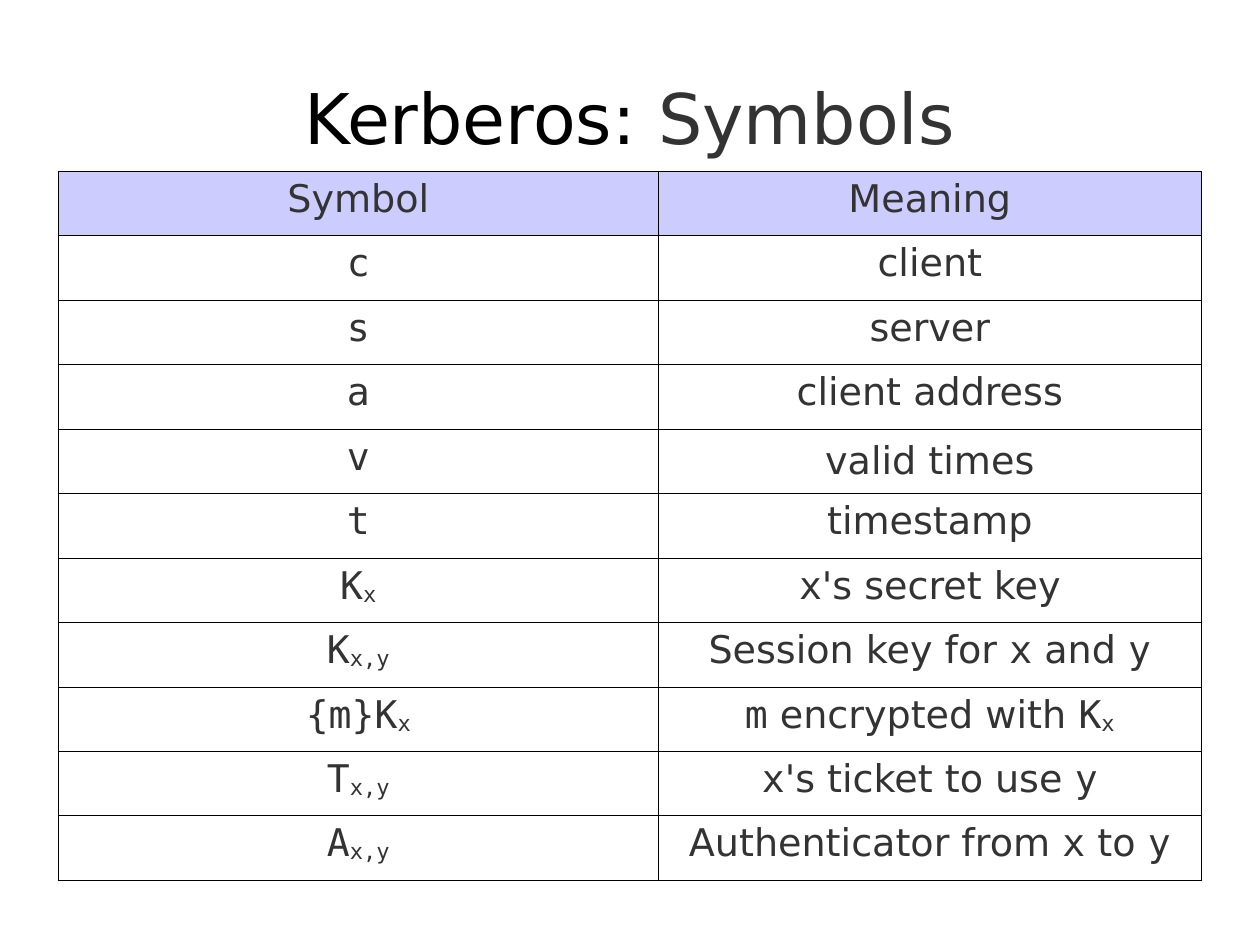
import dataclasses

import lxml.etree
import pptx
import pptx.dml.color
import pptx.enum.text
import pptx.oxml.ns
import pptx.util


@dataclasses.dataclass(frozen=True)
class Theme:
    """Colours, fonts and sizes of the slide."""
    black: str = "000000"
    ink: str = "333333"
    paper: str = "FFFFFF"
    header: str = "CCCCFF"
    sans: str = "DejaVu Sans"
    mono: str = "DejaVu Sans Mono"
    title_size: float = 44
    cell_size: float = 24
    border: float = 0.57
    subscript: int = -8000


SYMBOLS = [
    ("Symbol", "Meaning"),
    ("`c`", "client"),
    ("`s`", "server"),
    ("`a`", "client address"),
    ("`v`", "valid times"),
    ("`t`", "timestamp"),
    ("`K_x`", "`x`'s secret key"),
    ("`K_x,y`", "Session key for `x` and `y`"),
    ("`{m}K_x`", "`m` encrypted with `K_x`"),
    ("`T_x,y`", "`x`'s ticket to use `y`"),
    ("`A_x,y`", "Authenticator from `x` to `y`"),
]


def rgb(code):
    """Turn a hex code into a colour."""
    return pptx.dml.color.RGBColor.from_string(code)


def write(para, text, *, font, size, colour, baseline=0):
    """Add one formatted span to a centred paragraph."""
    para.alignment = pptx.enum.text.PP_ALIGN.CENTER
    span = para.add_run()
    span.text = text
    span.font.name = font
    span.font.size = pptx.util.Pt(size)
    span.font.color.rgb = rgb(colour)
    if baseline:
        span._r.get_or_add_rPr().set("baseline", str(baseline))


class Page:
    """Draws elements placed by percentages of the slide's size."""

    def __init__(self, deck, theme):
        """Add a blank slide with a plain background."""
        self.deck = deck
        self.theme = theme
        self.slide = deck.slides.add_slide(deck.slide_layouts[6])
        self.slide.background.fill.solid()
        self.slide.background.fill.fore_color.rgb = rgb(theme.paper)

    def across(self, percent):
        """Measure a share of the slide's width."""
        return round(self.deck.slide_width * percent / 100)

    def down(self, percent):
        """Measure a share of the slide's height."""
        return round(self.deck.slide_height * percent / 100)

    def title(self, spans, left, top, width, height):
        """Write a centred title from pairs of text and colour."""
        box = self.slide.shapes.add_textbox(
            self.across(left), self.down(top), self.across(width), self.down(height))
        frame = box.text_frame
        frame.word_wrap = True
        frame.vertical_anchor = pptx.enum.text.MSO_ANCHOR.MIDDLE
        frame.margin_left = frame.margin_right = 0
        frame.margin_top = frame.margin_bottom = 0
        for text, colour in spans:
            write(frame.paragraphs[0], text, font=self.theme.sans,
                  size=self.theme.title_size, colour=colour)

    def table(self, rows, left, top, columns, row_height):
        """Draw a ruled table with a tinted header row."""
        table = self.slide.shapes.add_table(
            len(rows), len(columns), self.across(left), self.down(top),
            self.across(sum(columns)), self.down(row_height * len(rows))).table
        table.first_row = table.horz_banding = False
        for column, width in zip(table.columns, columns):
            column.width = self.across(width)
        for index, texts in enumerate(rows):
            table.rows[index].height = self.down(row_height)
            for cell, text in zip(table.rows[index].cells, texts):
                self.cell(cell, text, self.theme.paper if index else self.theme.header)
        return table

    def cell(self, cell, text, fill):
        """Fill a cell; backticks mark symbols and underscores subscripts."""
        cell.margin_left = cell.margin_right = pptx.util.Inches(0.04)
        cell.margin_top = cell.margin_bottom = pptx.util.Inches(0.05)
        self.rule(cell)
        cell.fill.solid()
        cell.fill.fore_color.rgb = rgb(fill)
        para = cell.text_frame.paragraphs[0]
        for index, part in enumerate(text.split("`")):
            font = self.theme.mono if index % 2 else self.theme.sans
            base, _, sub = part.partition("_")
            for piece, baseline in ((base, 0), (sub, self.theme.subscript)):
                if piece:
                    write(para, piece, font=font, size=self.theme.cell_size,
                          colour=self.theme.ink, baseline=baseline)

    def rule(self, cell):
        """Put a thin line on every side of a cell."""
        name = pptx.oxml.ns.qn
        properties = cell._tc.get_or_add_tcPr()
        width = str(pptx.util.Pt(self.theme.border))
        for side in ("a:lnL", "a:lnR", "a:lnT", "a:lnB"):
            line = lxml.etree.SubElement(properties, name(side), w=width)
            paint = lxml.etree.SubElement(line, name("a:solidFill"))
            lxml.etree.SubElement(paint, name("a:srgbClr"), val=self.theme.black)


def main():
    """Build the slide and save it."""
    deck = pptx.Presentation()
    deck.slide_width = pptx.util.Cm(28)
    deck.slide_height = pptx.util.Cm(21)
    theme = Theme()
    page = Page(deck, theme)
    page.title([("Kerberos:", theme.black), (" Symbols", theme.ink)],
               left=5, top=4, width=90, height=16.69)
    table = page.table(SYMBOLS, left=4.63, top=18.14,
                       columns=(47.62, 43.1), row_height=6.82)
    valid_times = table.cell(4, 1)
    valid_times.vertical_anchor = pptx.enum.text.MSO_ANCHOR.MIDDLE
    deck.save("out.pptx")


if __name__ == "__main__":
    main()
